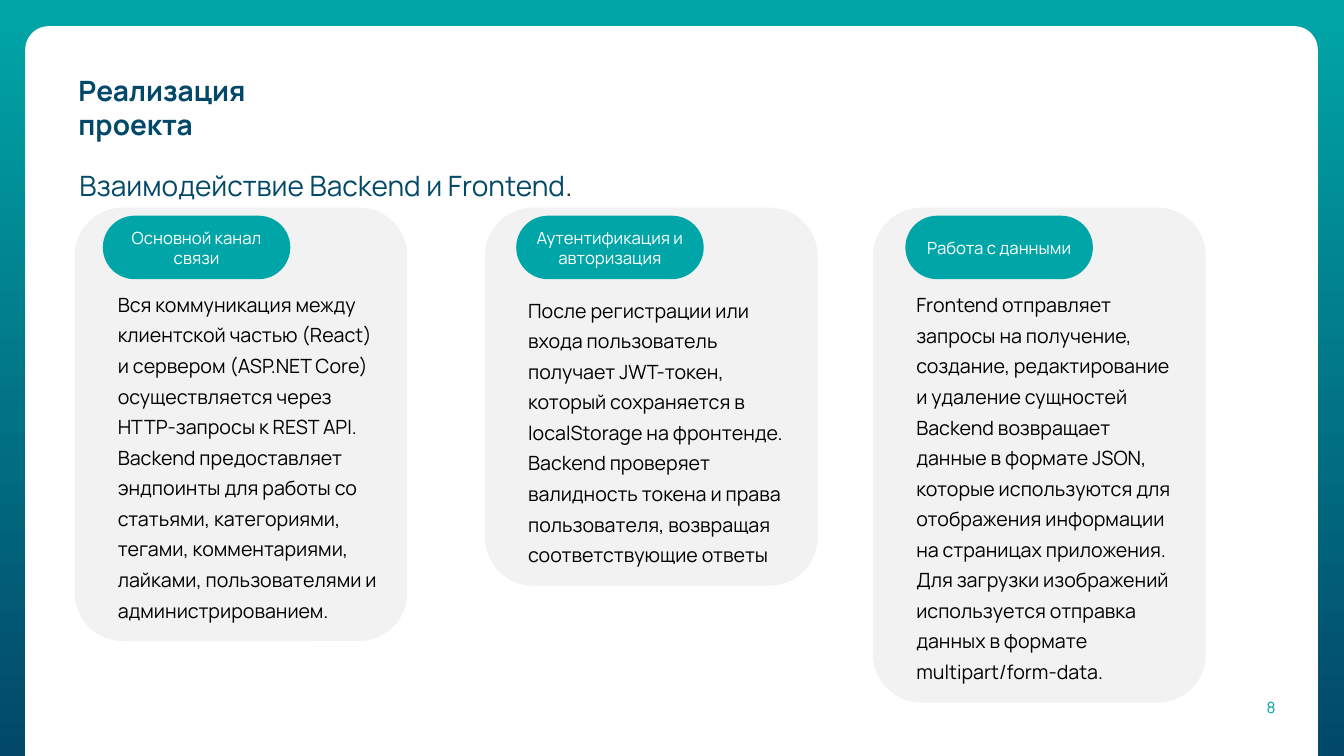
"""Builds the slide on how the backend and frontend interact."""
import pptx
import pptx.dml.color
import pptx.enum.shapes
import pptx.enum.text
import pptx.util

Inches = pptx.util.Inches
RGBColor = pptx.dml.color.RGBColor
ALIGN = pptx.enum.text.PP_ALIGN
ANCHOR = pptx.enum.text.MSO_ANCHOR

TEAL = RGBColor(0x00, 0xA6, 0xA7)
NAVY = RGBColor(0x02, 0x48, 0x69)
WHITE = RGBColor(0xFF, 0xFF, 0xFF)
LIGHT_GRAY = RGBColor(0xF2, 0xF2, 0xF2)
DARK_GRAY = RGBColor(0x33, 0x33, 0x33)
BLACK = RGBColor(0x00, 0x00, 0x00)

FONT = "Manrope"
CARD_TOP, CARD_WIDTH = 2.06, 3.3

CARDS = [
    (0.74, 4.3, 1.02, "Основной канал связи", [
        "Вся коммуникация между клиентской частью (React) и сервером "
        "(ASP.NET Core) осуществляется через HTTP-запросы к REST API.",
        "Backend предоставляет эндпоинты для работы со статьями, категориями, "
        "тегами, комментариями, лайками, пользователями и администрированием.",
    ]),
    (4.81, 3.75, 5.12, "Аутентификация и авторизация", [
        "После регистрации или входа пользователь получает JWT-токен, "
        "который сохраняется в localStorage на фронтенде.",
        "Backend проверяет валидность токена и права пользователя, "
        "возвращая соответствующие ответы",
    ]),
    (8.66, 4.91, 8.98, "Работа с данными", [
        "Frontend отправляет запросы на получение, создание, редактирование "
        "и удаление сущностей",
        "Backend возвращает данные в формате JSON, которые используются для "
        "отображения информации на страницах приложения.",
        "Для загрузки изображений используется отправка данных в формате "
        "multipart/form-data.",
    ]),
]


def paint_background(slide):
    """Fill the background with a gradient from teal down to navy."""
    fill = slide.background.fill
    fill.gradient()
    fill.gradient_angle = 270
    for stop, color in zip(fill.gradient_stops, (TEAL, NAVY)):
        stop.color.rgb = color


def add_rounded(slide, left, top, width, height, corner, color):
    """Add a borderless rounded rectangle."""
    panel = slide.shapes.add_shape(
        pptx.enum.shapes.MSO_SHAPE.ROUNDED_RECTANGLE,
        Inches(left), Inches(top), Inches(width), Inches(height))
    panel.adjustments[0] = corner
    panel.fill.solid()
    panel.fill.fore_color.rgb = color
    panel.line.fill.background()
    panel.shadow.inherit = False
    return panel


def write(holder, paragraphs, size, align=ALIGN.LEFT, anchor=ANCHOR.TOP,
          bold=False, spacing=None, indent=0):
    """Write paragraphs, each a list of (text, color) runs."""
    frame = holder.text_frame
    frame.word_wrap = True
    frame.vertical_anchor = anchor
    for index, runs in enumerate(paragraphs):
        paragraph = frame.add_paragraph() if index else frame.paragraphs[0]
        paragraph.alignment = align
        if spacing:
            paragraph.line_spacing = spacing
        if indent:
            paragraph._p.get_or_add_pPr().set("marL", str(Inches(indent)))
        for text, color in runs:
            run = paragraph.add_run()
            run.text = text
            run.font.name = FONT
            run.font.size = pptx.util.Pt(size)
            run.font.bold = bold
            run.font.color.rgb = color


def add_label(slide, left, top, width, height, runs, size, **style):
    """Add a text box holding one paragraph."""
    label = slide.shapes.add_textbox(
        Inches(left), Inches(top), Inches(width), Inches(height))
    write(label, [runs], size, **style)


def add_card(slide, left, height, badge_left, heading, body):
    """Add a gray card with its body text and a teal heading badge."""
    card = add_rounded(slide, left, CARD_TOP, CARD_WIDTH, height, 0.145, LIGHT_GRAY)
    write(card, [[(text, BLACK)] for text in body], 14,
          anchor=ANCHOR.BOTTOM, spacing=1.3, indent=0.19)
    badge = add_rounded(slide, badge_left, CARD_TOP + 0.08, 1.86, 0.63, 0.5, TEAL)
    write(badge, [[(heading, WHITE)]], 12, align=ALIGN.CENTER, anchor=ANCHOR.MIDDLE)


def main():
    """Build and save the slide."""
    deck = pptx.Presentation()
    deck.slide_width, deck.slide_height = Inches(13.33), Inches(7.5)
    slide = deck.slides.add_slide(deck.slide_layouts[6])
    paint_background(slide)
    add_rounded(slide, 0.25, 0.26, 12.82, 7.99, 0.029, WHITE)
    add_label(slide, 0.68, 0.68, 2.97, 0.44, [("Реализация проекта", NAVY)], 20, bold=True)
    add_label(slide, 0.68, 1.52, 8.87, 0.54,
              [("Взаимодействие Backend и Frontend", NAVY), (".", DARK_GRAY)],
              20, spacing=1.3, indent=0.01)
    add_label(slide, 9.75, 6.82, 3, 0.4, [("8", TEAL)], 11,
              align=ALIGN.RIGHT, anchor=ANCHOR.MIDDLE)
    for card in CARDS:
        add_card(slide, *card)
    deck.save("out.pptx")


if __name__ == "__main__":
    main()
